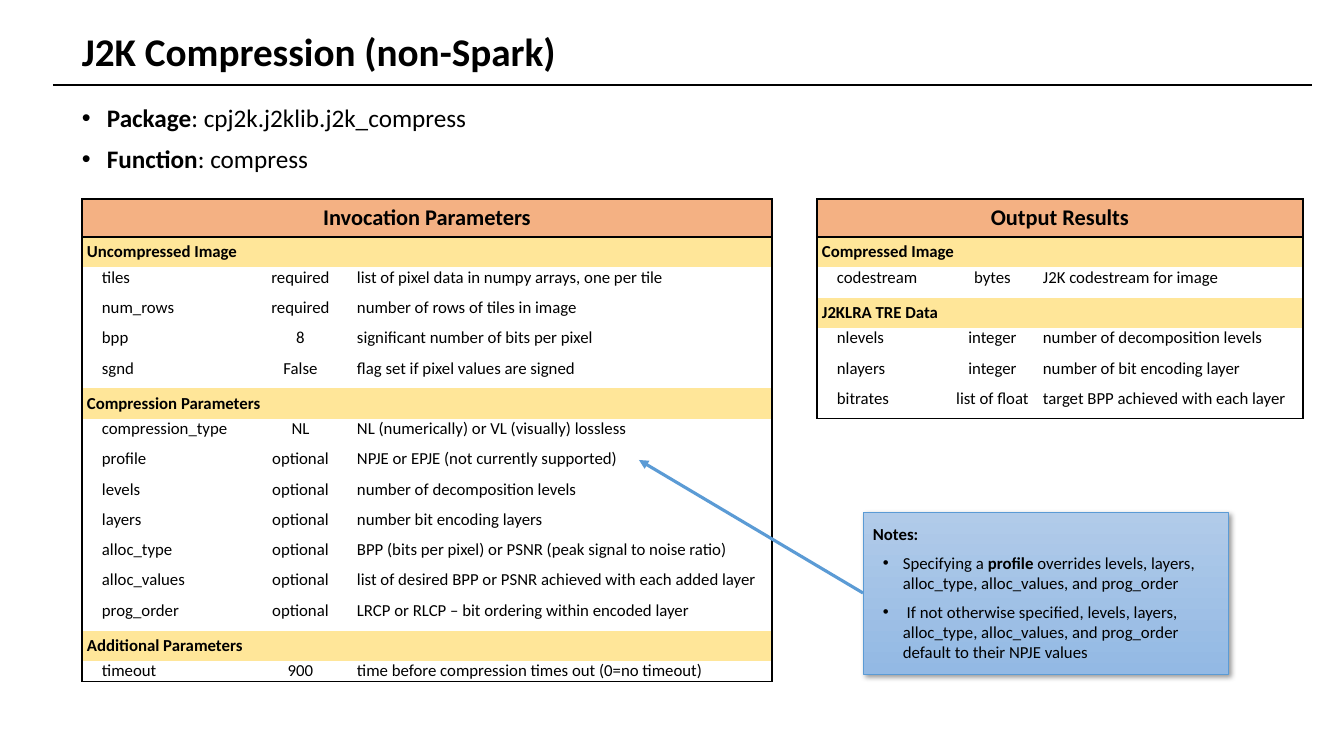
import pptx
import pptx.util
import pptx.dml.color
import pptx.enum.shapes
import pptx.enum.text
import pptx.enum.dml
import pptx.oxml
import pptx.oxml.ns

theme = {
    "font": "Calibri", "title": 28, "body": 18, "header": 16, "small": 12,
    "black": "000000", "orange": "F4B183", "yellow": "FFE699", "blue": "5B9BD5",
    "note_top": "B1CBE9", "note_bottom": "93B9E4",
}
colour = {name: pptx.dml.color.RGBColor.from_string(value)
          for name, value in theme.items() if len(str(value)) == 6}
namespace = pptx.oxml.ns.nsdecls("a")
align = pptx.enum.text.PP_ALIGN
middle = pptx.enum.text.MSO_ANCHOR.MIDDLE


def px(length):
    return pptx.util.Emu(round(length * 914400 / 100.8))


def write(paragraph, text, size, margin=0, hanging=0):
    for index, piece in enumerate(text.split("*")):
        if piece:
            run = paragraph.add_run()
            run.text = piece
            run.font.name = theme["font"]
            run.font.size = pptx.util.Pt(size)
            run.font.bold = index % 2 == 1
            run.font.color.rgb = colour["black"]
    if hanging:
        properties = paragraph._p.get_or_add_pPr()
        properties.set("marL", str(px(margin)))
        properties.set("indent", str(-px(hanging)))
        for tag in ('buFont typeface="Arial"', 'buChar char="•"'):
            properties.append(pptx.oxml.parse_xml(f"<a:{tag} {namespace}/>"))


presentation = pptx.Presentation()
presentation.slide_width, presentation.slide_height = px(1344), px(756)
slide = presentation.slides.add_slide(presentation.slide_layouts[6])

title = slide.shapes.add_textbox(px(72), px(24), px(1217), px(60))
title.text_frame.word_wrap = True
title.text_frame.vertical_anchor = middle
title.text_frame.paragraphs[0].line_spacing = 0.9
write(title.text_frame.paragraphs[0], "*J2K Compression (non-Spark)*", theme["title"])

summary = slide.shapes.add_textbox(px(72), px(101), px(1217), px(80))
summary.text_frame.word_wrap = True
for index, text in enumerate(["*Package*: cpj2k.j2klib.j2k_compress", "*Function*: compress"]):
    paragraph = summary.text_frame.paragraphs[0] if index == 0 else summary.text_frame.add_paragraph()
    paragraph.line_spacing = 0.9
    paragraph.space_before = pptx.util.Pt(10)
    write(paragraph, text, theme["body"], 25, 25)

invocation_rows = [
    ["Invocation Parameters"],
    ["Uncompressed Image"],
    ["tiles", "required", "list of pixel data in numpy arrays, one per tile"],
    ["num_rows", "required", "number of rows of tiles in image"],
    ["bpp", "8", "significant number of bits per pixel"],
    ["sgnd", "False", "flag set if pixel values are signed"],
    ["Compression Parameters"],
    ["compression_type", "NL", "NL (numerically) or VL (visually) lossless"],
    ["profile", "optional", "NPJE or EPJE (not currently supported)"],
    ["levels", "optional", "number of decomposition levels"],
    ["layers", "optional", "number bit encoding layers"],
    ["alloc_type", "optional", "BPP (bits per pixel) or PSNR (peak signal to noise ratio)"],
    ["alloc_values", "optional", "list of desired BPP or PSNR achieved with each added layer"],
    ["prog_order", "optional", "LRCP or RLCP – bit ordering within encoded layer"],
    ["Additional Parameters"],
    ["timeout", "900", "time before compression times out (0=no timeout)"],
]
output_rows = [
    ["Output Results"],
    ["Compressed Image"],
    ["codestream", "bytes", "J2K codestream for image"],
    ["J2KLRA TRE Data"],
    ["nlevels", "integer", "number of decomposition levels"],
    ["nlayers", "integer", "number of bit encoding layer"],
    ["bitrates", "list of float", "target BPP achieved with each layer"],
]
header_height = px(38)
row_height = px(212) // 7
tables = [
    (82, [162, 113, 415], invocation_rows, px(21)),
    (817, [125, 101, 260], output_rows, row_height),
]
for left, widths, rows, last_height in tables:
    heights = [header_height] + [row_height] * (len(rows) - 2) + [last_height]
    frame = slide.shapes.add_table(len(rows), 3, px(left), px(199), px(sum(widths)), sum(heights))
    table = frame.table
    table.first_row = table.horz_banding = False
    style = table._tbl.tblPr.find(pptx.oxml.ns.qn("a:tableStyleId"))
    style.text = "{2D5ABB26-0587-4C30-8999-92F81FD0307C}"
    for column, width in zip(table.columns, widths):
        column.width = px(width)
    for row_index, values in enumerate(rows):
        table.rows[row_index].height = heights[row_index]
        is_header = row_index == 0
        is_band = len(values) == 1
        if is_band:
            table.cell(row_index, 0).merge(table.cell(row_index, 2))
        for column_index in range(3):
            cell = table.cell(row_index, column_index)
            inset = 5 if is_band else 0
            cell.margin_left = px(20 if column_index == 0 and not is_band else inset)
            cell.margin_right = cell.margin_top = cell.margin_bottom = px(inset)
            if is_band:
                cell.fill.solid()
                cell.fill.fore_color.rgb = colour["orange" if is_header else "yellow"]
            else:
                cell.fill.background()
            if column_index < len(values):
                paragraph = cell.text_frame.paragraphs[0]
                centred = is_header or column_index == 1
                paragraph.alignment = align.CENTER if centred else align.LEFT
                text = values[column_index]
                write(paragraph, f"*{text}*" if is_band else text,
                      theme["header" if is_header else "small"])
            borders = {
                "lnL": column_index == 0,
                "lnR": column_index == 2 or is_band and column_index == 0,
                "lnT": row_index < 2,
                "lnB": is_header or row_index == len(rows) - 1,
            }
            for position, (side, visible) in enumerate(borders.items()):
                paint = (f'<a:solidFill><a:srgbClr val="{theme["black"]}"/></a:solidFill>'
                         if visible else "<a:noFill/>")
                cell._tc.get_or_add_tcPr().insert(position, pptx.oxml.parse_xml(
                    f'<a:{side} {namespace} w="12700">{paint}</a:{side}>'))

note = slide.shapes.add_shape(pptx.enum.shapes.MSO_SHAPE.RECTANGLE, px(863), px(512), px(365), px(162))
note.fill.gradient()
note.fill.gradient_angle = 270
for stop, name in zip(note.fill.gradient_stops, ["note_top", "note_bottom"]):
    stop.color.rgb = colour[name]
note.line.color.rgb = colour["blue"]
note.line.width = pptx.util.Pt(0.5)
note.shadow.inherit = False
note._element.spPr.find(pptx.oxml.ns.qn("a:effectLst")).append(pptx.oxml.parse_xml(
    f'<a:outerShdw {namespace} blurRad="50800" dist="38100" dir="2700000" algn="tl" rotWithShape="0">'
    f'<a:srgbClr val="{theme["black"]}"><a:alpha val="40000"/></a:srgbClr></a:outerShdw>'))
note.text_frame.word_wrap = True
note.text_frame.vertical_anchor = middle
note_lines = [
    "*Notes:*",
    "Specifying a *profile* overrides levels, layers, alloc_type, alloc_values, and prog_order",
    " If not otherwise specified, levels, layers, alloc_type, alloc_values, and prog_order "
    "default to their NPJE values",
]
for index, text in enumerate(note_lines):
    paragraph = note.text_frame.paragraphs[0] if index == 0 else note.text_frame.add_paragraph()
    paragraph.alignment = align.LEFT
    paragraph.space_before = pptx.util.Pt(6)
    write(paragraph, text, theme["small"], 30, 20 if index else 0)

lines = [
    ((53, 85), (1312, 85), "black", 1.5, False),
    ((863, 593), (639, 460), "blue", 2.25, True),
]
for start, end, name, width, has_arrow in lines:
    connector = slide.shapes.add_connector(
        pptx.enum.shapes.MSO_CONNECTOR.STRAIGHT, *map(px, start + end))
    connector.line.color.rgb = colour[name]
    connector.line.width = pptx.util.Pt(width)
    if has_arrow:
        connector.line._get_or_add_ln().append(
            pptx.oxml.parse_xml(f'<a:tailEnd {namespace} type="triangle"/>'))
    connector._element.spPr.append(pptx.oxml.parse_xml(f"<a:effectLst {namespace}/>"))

presentation.save("out.pptx")
